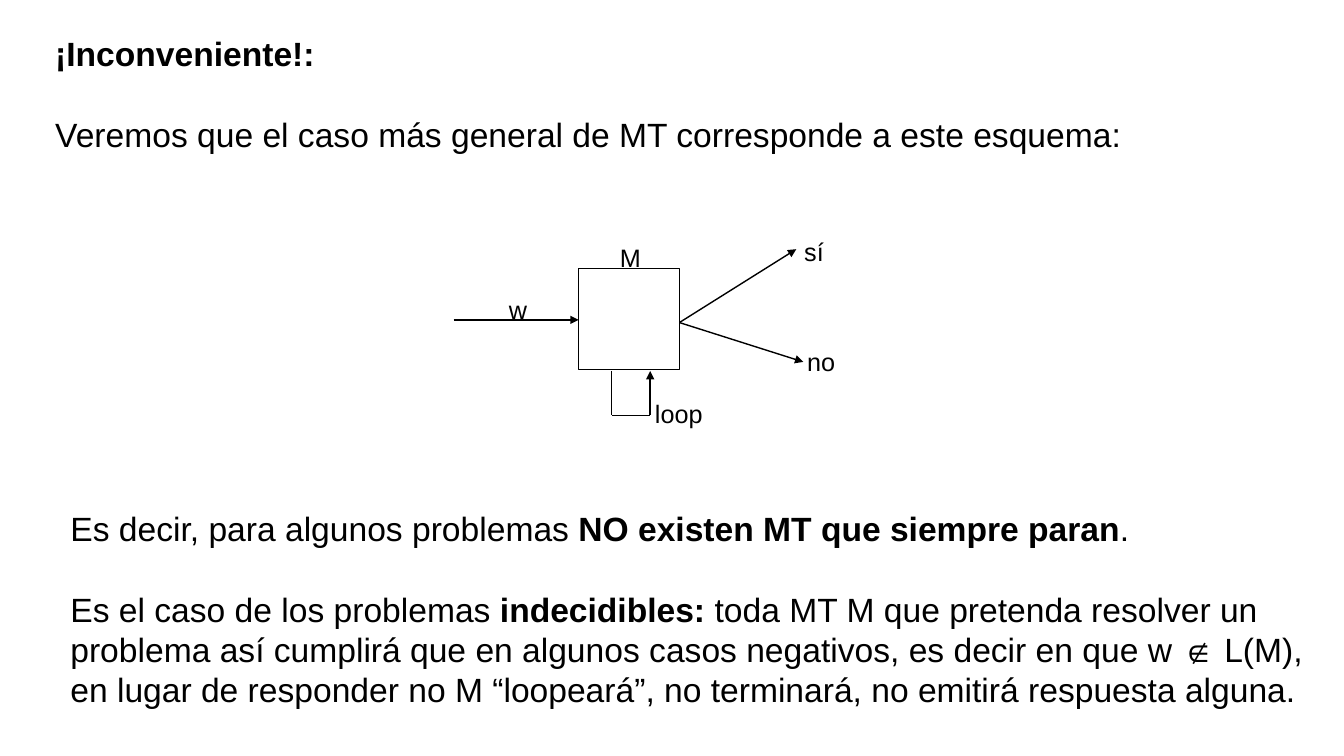
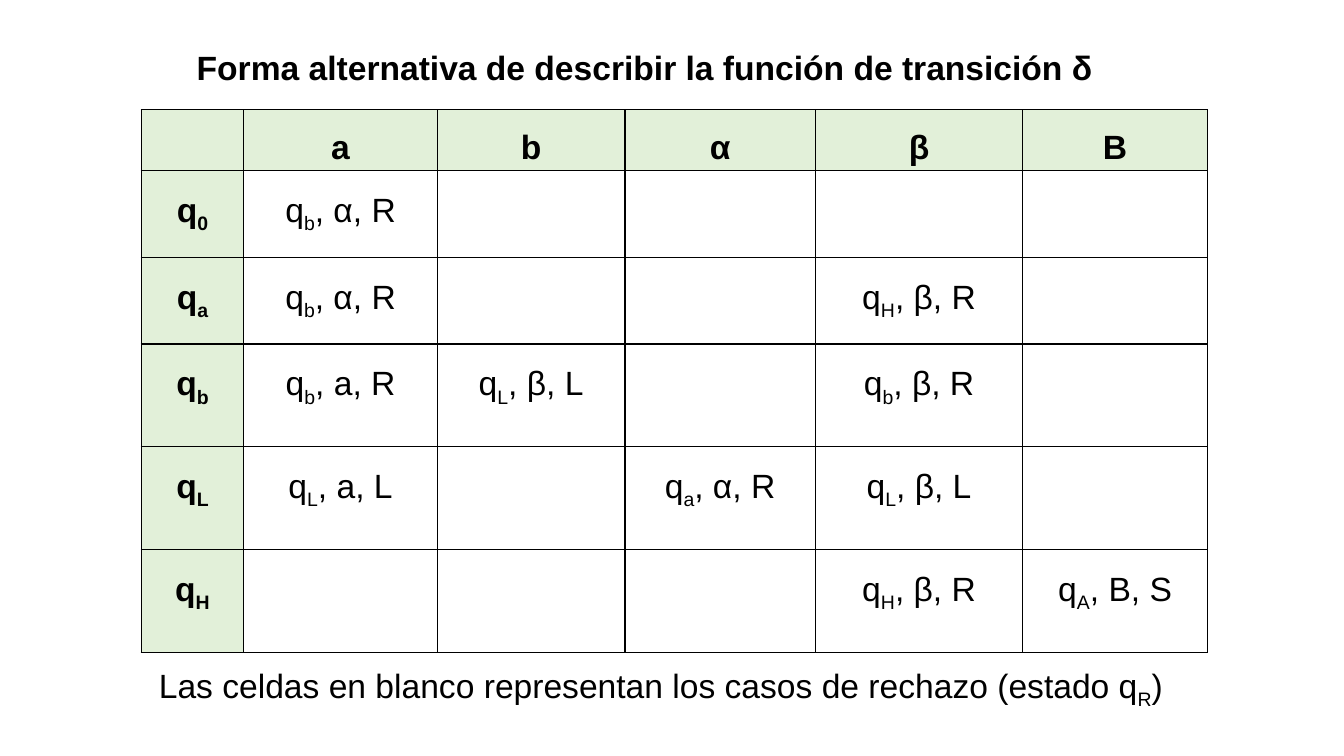
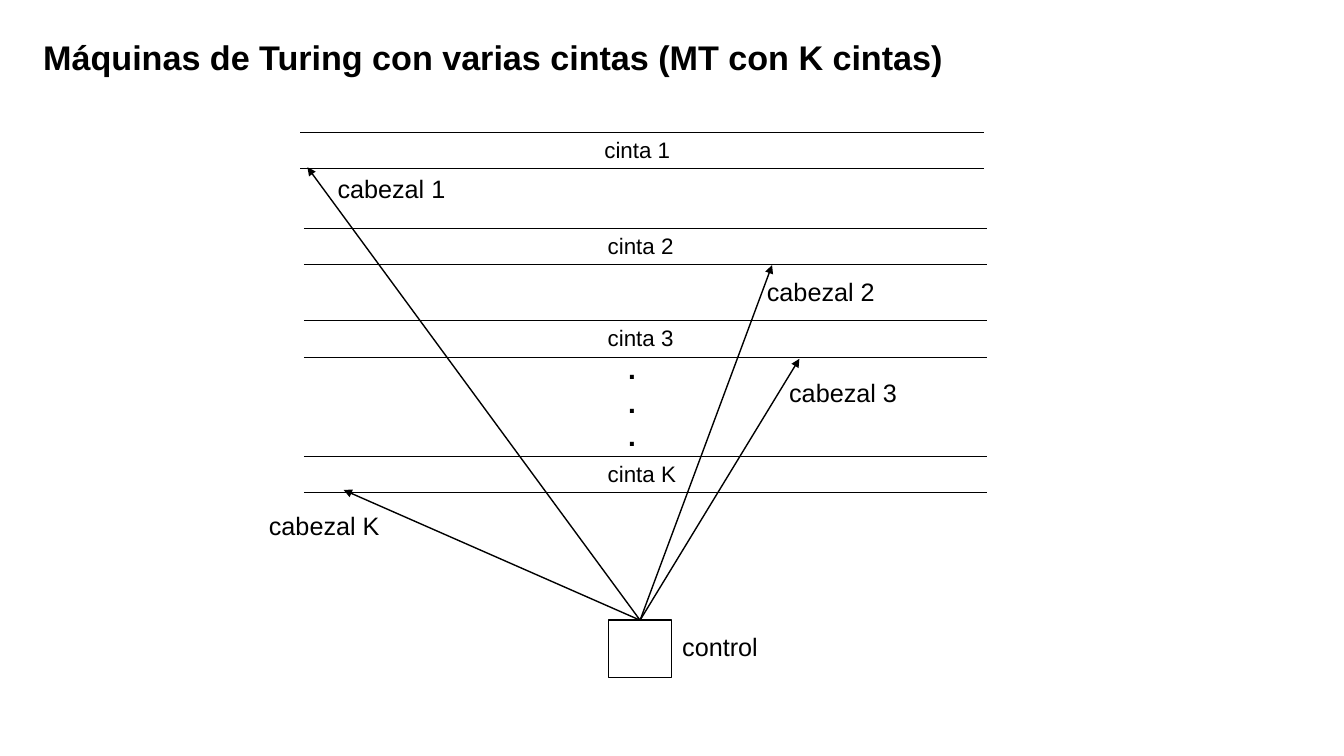
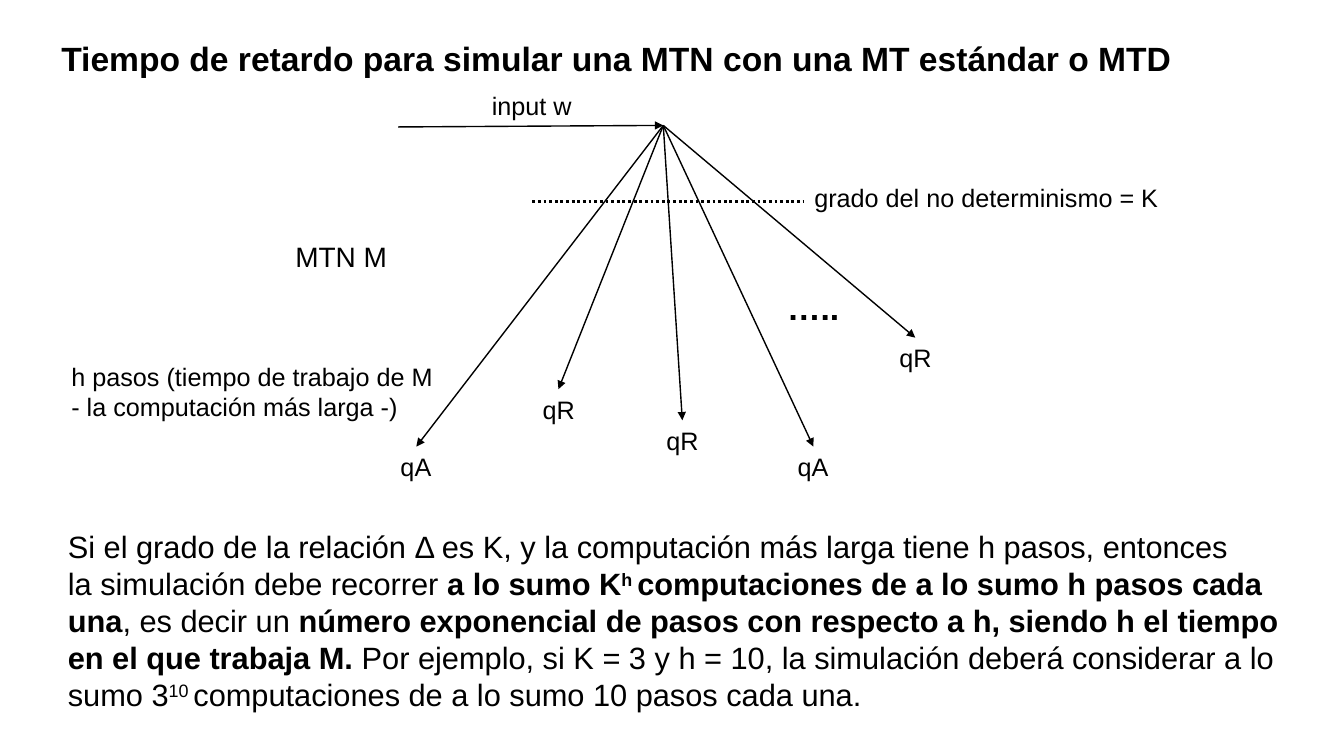
from collections import namedtuple
from dataclasses import dataclass

from lxml.etree import SubElement
from pptx import Presentation
from pptx.dml.color import RGBColor
from pptx.enum.dml import MSO_LINE
from pptx.enum.shapes import MSO_CONNECTOR, MSO_SHAPE
from pptx.enum.text import MSO_ANCHOR, PP_ALIGN
from pptx.oxml import parse_xml
from pptx.oxml.ns import nsdecls, qn
from pptx.util import Pt


@dataclass(frozen=True)
class Theme:
    font: str = "Arial"
    ink: RGBColor = RGBColor(0, 0, 0)
    paper: RGBColor = RGBColor(255, 255, 255)
    header: RGBColor = RGBColor(0xE2, 0xF0, 0xD9)
    body: float = 24
    tape_title: float = 24.4
    detail: float = 22
    emphasis: float = 20
    label: float = 18
    tape: float = 16
    leading: float = 1.2
    thin: float = 0.5
    stroke: float = 1
    dotted: float = 2


THEME = Theme()
Run = namedtuple("Run", "text bold base", defaults=(False, 0))


def bold(text, base=0):
    return Run(text, True, base)


def write(paragraph, runs, size):
    for part in runs:
        run = paragraph.add_run()
        run.text = part.text
        run.font.name = THEME.font
        run.font.size = Pt(size)
        run.font.bold = part.bold
        run.font.color.rgb = THEME.ink
        if part.base:
            run.font._element.set("baseline", str(part.base * 1000))


def add_text(slide, left, top, width, paragraphs, size, gap=0,
             align=PP_ALIGN.LEFT):
    leading = size * THEME.leading
    height = leading * len(paragraphs) + gap * (len(paragraphs) - 1) + 7.2
    frame = slide.shapes.add_textbox(
        Pt(left), Pt(top), Pt(width), Pt(height)).text_frame
    frame.word_wrap = True
    for index, runs in enumerate(paragraphs):
        paragraph = frame.add_paragraph() if index else frame.paragraphs[0]
        paragraph.alignment = align
        paragraph.line_spacing = Pt(leading)
        paragraph.space_before = Pt(gap if index else 0)
        write(paragraph, runs, size)


def add_title(slide, left, top, width, text, size=THEME.body,
              align=PP_ALIGN.LEFT):
    add_text(slide, left, top, width, [[bold(text)]], size, align=align)


def add_label(slide, left, top, width, text, size=THEME.label):
    add_text(slide, left, top, width, [[Run(text)]], size)


def add_line(slide, start, end, width=THEME.stroke, arrow=False, dash=None):
    line = slide.shapes.add_connector(
        MSO_CONNECTOR.STRAIGHT, *map(Pt, start + end))
    line.line.color.rgb = THEME.ink
    line.line.width = Pt(width)
    if dash:
        line.line.dash_style = dash
    properties = line._element.spPr
    if arrow:
        SubElement(properties.find(qn("a:ln")), qn("a:tailEnd"),
                   type="triangle")
    SubElement(properties, qn("a:effectLst"))


def add_arrow(slide, start, end):
    add_line(slide, start, end, arrow=True)


def add_box(slide, left, top, width, height):
    box = slide.shapes.add_shape(
        MSO_SHAPE.RECTANGLE, Pt(left), Pt(top), Pt(width), Pt(height))
    box.shadow.inherit = False
    box.fill.background()
    box.line.color.rgb = THEME.ink
    box.line.width = Pt(THEME.stroke)


def add_borders(cell):
    properties = cell._tc.get_or_add_tcPr()
    for index, side in enumerate("LRTB"):
        properties.insert(index, parse_xml(
            f'<a:ln{side} {nsdecls("a")} w="{Pt(THEME.stroke)}"><a:solidFill>'
            f'<a:srgbClr val="{THEME.ink}"/></a:solidFill></a:ln{side}>'))


def add_grid(slide, left, top, widths, heights, rows):
    table = slide.shapes.add_table(
        len(heights), len(widths), Pt(left), Pt(top),
        Pt(sum(widths)), Pt(sum(heights))).table
    for column, width in zip(table.columns, widths):
        column.width = Pt(width)
    for row, height in zip(table.rows, heights):
        row.height = Pt(height)
    for r, row in enumerate(rows):
        for c, runs in enumerate(row):
            cell = table.cell(r, c)
            cell.fill.solid()
            is_header = r == 0 or c == 0
            cell.fill.fore_color.rgb = (
                THEME.header if is_header else THEME.paper)
            add_borders(cell)
            cell.margin_left = cell.margin_right = Pt(5)
            cell.margin_top = cell.margin_bottom = 0
            if runs:
                paragraph = cell.text_frame.paragraphs[0]
                paragraph.alignment = PP_ALIGN.CENTER
                paragraph.line_spacing = 1.5
                write(paragraph, runs, THEME.body)


def state(subscript, action="", strong=False):
    runs = [Run("q", strong), Run(subscript, strong, -25)]
    return runs + [Run(action)] if action else runs


def drawback_slide(slide):
    blank_line = THEME.body * THEME.leading
    add_text(slide, 32.4, 20.2, 870, [
        [bold("¡Inconveniente!:")],
        [Run("Veremos que el caso más general de MT corresponde a este "
             "esquema:")],
    ], THEME.body, blank_line)
    add_text(slide, 43.2, 359.3, 910, [
        [Run("Es decir, para algunos problemas "),
         bold("NO existen MT que siempre paran"), Run(".")],
        [Run("Es el caso de los problemas "), bold("indecidibles: "),
         Run("toda MT M que pretenda resolver un problema así cumplirá que "
             "en algunos casos negativos, es decir en que w ∉ L(M), en lugar "
             "de responder no M “loopeará”, no terminará, no emitirá "
             "respuesta alguna.")],
    ], THEME.body, blank_line)

    add_box(slide, 413.3, 192, 72, 72)
    add_arrow(slide, (324, 228.5), (413.3, 228.5))
    machine_exit = (485.3, 230.4)
    add_arrow(slide, machine_exit, (568.8, 178))
    add_arrow(slide, machine_exit, (573.8, 258.5))

    loop_left, loop_right, loop_top, loop_bottom = 437, 464.4, 265, 296.6
    add_line(slide, (loop_left, loop_top), (loop_left, loop_bottom))
    add_line(slide, (loop_left, loop_bottom), (loop_right, loop_bottom))
    add_arrow(slide, (loop_right, loop_bottom), (loop_right, loop_top))

    for text, left, top, width in (
            ("M", 435.6, 169.5, 65), ("w", 356.4, 206.5, 99),
            ("sí", 567.4, 165.6, 36), ("no", 569.5, 244.1, 38),
            ("loop", 460.8, 280.8, 52)):
        add_label(slide, left, top, width, text)


def transition_slide(slide):
    add_title(slide, 123, 30.2, 675,
              "Forma alternativa de describir la función de transición δ",
              align=PP_ALIGN.CENTER)
    symbols = ("a", "b", "α", "β", "B")
    transitions = {
        "0": {"a": "b, α, R"},
        "a": {"a": "b, α, R", "β": "H, β, R"},
        "b": {"a": "b, a, R", "b": "L, β, L", "β": "b, β, R"},
        "L": {"a": "L, a, L", "α": "a, α, R", "β": "L, β, L"},
        "H": {"β": "H, β, R", "B": "A, B, S"},
    }
    rows = [[None] + [[bold(symbol)] for symbol in symbols]]
    for origin, moves in transitions.items():
        row = [state(origin, strong=True)]
        for symbol in symbols:
            move = moves.get(symbol)
            row.append(state(move[0], move[1:]) if move else None)
        rows.append(row)
    add_grid(slide, 100.8, 78.5, (73.4, 138.2, 134, 136, 148.3, 131.8),
             (41.8, 62, 62, 73.4, 73.4, 73.4), rows)
    add_text(slide, 106.4, 475.2, 740, [
        [Run("Las celdas en blanco representan los casos de rechazo (estado "
             "q"), Run("R", base=-25), Run(")")],
    ], THEME.body)


def tapes_slide(slide):
    add_title(slide, 23.8, 22.5, 795,
              "Máquinas de Turing con varias cintas (MT con K cintas)",
              THEME.tape_title)
    tape_width, tape_height = 488, 26
    for name, left, top in (("1", 214.6, 94.3), ("2", 217, 162.9),
                            ("3", 217, 229), ("K", 217, 325.9)):
        for edge in (top, top + tape_height):
            add_line(slide, (left, edge), (left + tape_width, edge),
                     THEME.thin)
        add_label(slide, left + 210, top - 0.7, 68, f"cinta {name}",
                  THEME.tape)

    add_text(slide, 436.4, 247.7, 30, [[bold(".")]] * 3, THEME.emphasis,
             align=PP_ALIGN.CENTER)
    add_box(slide, 434.9, 442.8, 44.9, 41.3)
    add_label(slide, 480.2, 447.1, 74, "control")

    control_top = (457.2, 443)
    for name, tip, left, top in (
            ("1", (219.6, 119.5), 234, 120.2),
            ("2", (551.5, 189.4), 540.7, 193.7),
            ("3", (571, 256.3), 556.6, 265.7),
            ("K", (245.5, 350), 185, 360.7)):
        add_arrow(slide, control_top, tip)
        add_label(slide, left, top, 98, f"cabezal {name}")


def delay_slide(slide):
    add_title(slide, 36.7, 23.8, 910,
              "Tiempo de retardo para simular una MTN con una MT estándar o "
              "MTD")
    root = (473.8, 89.6)
    add_arrow(slide, (284.4, 90.7), root)
    for outcome, tip in (
            ("qA", (297.4, 319)), ("qR", (398.9, 278)),
            ("qR", (487.4, 300.2)), ("qA", (581, 319)),
            ("qR", (653.8, 241.2))):
        add_arrow(slide, root, tip)
        add_label(slide, tip[0] - 18.4, tip[1], 42, outcome)
    add_line(slide, (380.2, 144), (574.6, 144), THEME.dotted,
             dash=MSO_LINE.ROUND_DOT)

    add_label(slide, 344.2, 61.2, 76, "input w")
    add_label(slide, 574.6, 126.7, 310, "grado del no determinismo = K")
    add_label(slide, 203.8, 167.8, 84, "MTN M", THEME.emphasis)
    add_title(slide, 555.1, 201.6, 98.6, "…..")
    add_text(slide, 43.9, 254.2, 280, [
        [Run("h pasos (tiempo de trabajo de M")],
        [Run("- la computación más larga -)")],
    ], THEME.label)
    add_text(slide, 41.4, 373.7, 908, [
        [Run("Si el grado de la relación Δ es K, y la computación más larga "
             "tiene h pasos, entonces")],
        [Run("la simulación debe recorrer "), bold("a lo sumo K"),
         bold("h ", 30), bold("computaciones de a lo sumo h pasos cada")],
        [bold("una"), Run(", es decir un "),
         bold("número exponencial de pasos con respecto a h, siendo h el "
              "tiempo")],
        [bold("en el que trabaja M. "),
         Run("Por ejemplo, si K = 3 y h = 10, la simulación deberá "
             "considerar a lo")],
        [Run("sumo 3"), Run("10 ", base=30),
         Run("computaciones de a lo sumo 10 pasos cada una.")],
    ], THEME.detail)


def main():
    deck = Presentation()
    deck.slide_width, deck.slide_height = Pt(960), Pt(540)
    blank = deck.slide_layouts[6]
    for build in (drawback_slide, transition_slide, tapes_slide, delay_slide):
        slide = deck.slides.add_slide(blank)
        slide.background.fill.solid()
        slide.background.fill.fore_color.rgb = THEME.paper
        build(slide)
    deck.save("out.pptx")


main()
